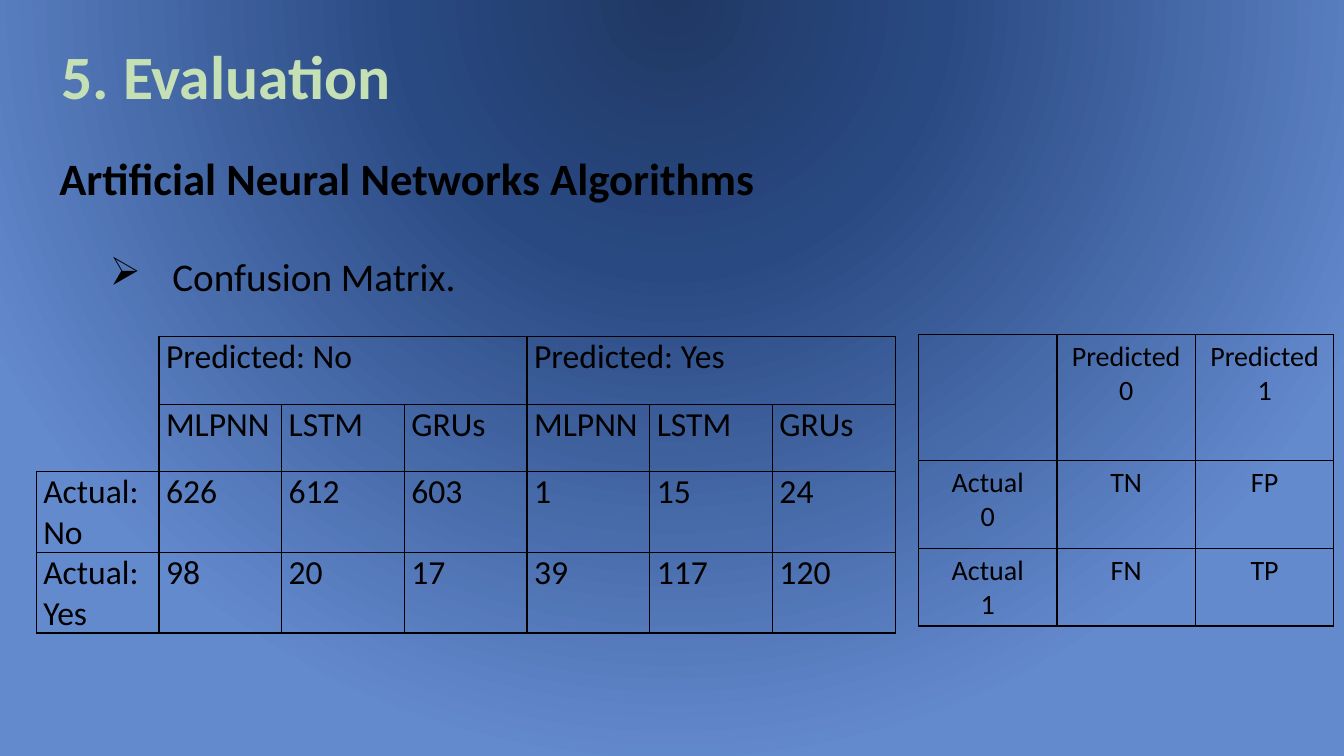
import dataclasses
import typing

import lxml.etree
import pptx
import pptx.dml.color
import pptx.enum.text
import pptx.oxml.ns
import pptx.slide
import pptx.table
import pptx.text.text
import pptx.util

FONT = "Calibri"
BLACK = "000000"
PALE_GREEN = "C5E0B4"
PLAIN_STYLE = "{2D5ABB26-0587-4C30-8999-92F81FD0307C}"  # no style, no grid
WIDTH = pptx.util.Inches(13.33)
HEIGHT = pptx.util.Inches(7.5)
ALIGN = pptx.enum.text.PP_ALIGN
qn = pptx.oxml.ns.qn


@dataclasses.dataclass
class Matrix:
    left: float  # lengths are percentages of the slide
    top: float
    width: float
    row_heights: list[float]
    rows: list[list[str]]
    size: int
    align: ALIGN = ALIGN.LEFT
    merges: tuple = ()  # (first row, first column, last row, last column)
    margins: tuple[float, float] = (0.1, 0.05)  # side and top, in inches
    open_corner: bool = False


MATRICES = [
    Matrix(
        2.7, 44.53, 63.92, [8.93, 8.93, 10.67, 10.67],
        [
            ["", "Predicted: No", "", "", "Predicted: Yes", "", ""],
            [""] + ["MLPNN", "LSTM", "GRUs"] * 2,
            ["Actual: No", "626", "612", "603", "1", "15", "24"],
            ["Actual: Yes", "98", "20", "17", "39", "117", "120"],
        ],
        size=24,
        merges=((0, 0, 1, 0), (0, 1, 0, 3), (0, 4, 0, 6)),
        margins=(0.07, 0),
        open_corner=True,
    ),
    Matrix(
        68.34, 44.27, 30.91, [16.67, 11.6, 10.27],
        [
            ["", "Predicted\n0", "Predicted\n1"],
            ["Actual\n0", "TN", "FP"],
            ["Actual\n1", "FN", "TP"],
        ],
        size=20,
        align=ALIGN.CENTER,
    ),
]


def across(percent: float) -> int:
    return round(WIDTH * percent / 100)


def down(percent: float) -> int:
    return round(HEIGHT * percent / 100)


def rgb(value: str) -> pptx.dml.color.RGBColor:
    return pptx.dml.color.RGBColor.from_string(value)


def add_child(parent: typing.Any, tag: str, **attributes: typing.Any) -> typing.Any:
    values = {name: str(value) for name, value in attributes.items()}
    return lxml.etree.SubElement(parent, qn(tag), values)


def add_run(p: typing.Any, text: str, size: int, color: str = BLACK, bold: bool = False) -> None:
    r = p.add_run()
    r.text = text
    r.font.name = FONT
    r.font.size = pptx.util.Pt(size)
    r.font.bold = bold
    r.font.color.rgb = rgb(color)


def paint_background(slide: pptx.slide.Slide) -> None:
    slide.background.fill.gradient()
    grad = slide.element.find(".//" + qn("a:gradFill"))
    for child in list(grad):
        grad.remove(child)
    stops = add_child(grad, "a:gsLst")
    for position, color, alpha in [(0, "203864", 100), (35, "294982", 100), (100, "648ACE", 96)]:
        stop = add_child(stops, "a:gs", pos=position * 1000)
        fill = add_child(stop, "a:srgbClr", val=color)
        if alpha < 100:
            add_child(fill, "a:alpha", val=alpha * 1000)
    shade = add_child(grad, "a:path", path="circle")
    add_child(shade, "a:fillToRect", l=50000, t=-80000, r=50000, b=180000)


def add_title(slide: pptx.slide.Slide) -> None:
    sp = slide.shapes.title
    sp.left, sp.top, sp.width, sp.height = across(3.83), down(4.4), across(37.36), down(11.2)
    tf = sp.text_frame
    tf.vertical_anchor = pptx.enum.text.MSO_ANCHOR.TOP
    p = tf.paragraphs[0]
    p.alignment = ALIGN.LEFT
    add_run(p, "5. Evaluation", 44, PALE_GREEN, bold=True)


def add_body(slide: pptx.slide.Slide) -> None:
    sp = slide.shapes.add_textbox(across(3.68), down(19.33), across(94.67), down(30.93))
    tf = sp.text_frame
    tf.word_wrap = True
    add_run(tf.paragraphs[0], "Artificial Neural Networks Algorithms", 32, bold=True)
    p = tf.add_paragraph()
    p.level = 1
    p.space_before = pptx.util.Pt(34)
    add_run(p, "Confusion Matrix.", 28)
    # Hanging arrow bullet
    props = p._p.get_or_add_pPr()
    props.set("marL", str(pptx.util.Inches(1.12)))
    props.set("indent", str(pptx.util.Inches(-0.62)))
    add_child(props, "a:buChar", char="➢")


def draw_borders(cell: pptx.table._Cell, sides: str) -> None:
    props = cell._tc.get_or_add_tcPr()
    for index, side in enumerate("LRTB"):
        line = add_child(props, "a:ln" + side, w=pptx.util.Pt(1))
        if side in sides:
            add_child(add_child(line, "a:solidFill"), "a:srgbClr", val=BLACK)
        else:
            add_child(line, "a:noFill")
        props.insert(index, line)


def fill_cell(cell: pptx.table._Cell, text: str, matrix: Matrix) -> None:
    side, top = (pptx.util.Inches(margin) for margin in matrix.margins)
    cell.margin_left = cell.margin_right = side
    cell.margin_top = cell.margin_bottom = top
    cell.fill.background()
    tf = cell.text_frame
    for number, line in enumerate(text.split("\n") if text else []):
        p = tf.add_paragraph() if number else tf.paragraphs[0]
        p.alignment = matrix.align
        add_run(p, line, matrix.size)


def add_matrix(slide: pptx.slide.Slide, matrix: Matrix) -> None:
    columns = len(matrix.rows[0])
    frame = slide.shapes.add_table(
        len(matrix.rows), columns, across(matrix.left), down(matrix.top),
        across(matrix.width), down(sum(matrix.row_heights)),
    )
    table = frame.table
    table.first_row = table.horz_banding = False
    table._tbl.tblPr.find(qn("a:tableStyleId")).text = PLAIN_STYLE
    for column in table.columns:
        column.width = across(matrix.width / columns)
    for row, height in zip(table.rows, matrix.row_heights):
        row.height = down(height)
    for r, texts in enumerate(matrix.rows):
        for c, text in enumerate(texts):
            cell = table.cell(r, c)
            fill_cell(cell, text, matrix)
            in_corner = matrix.open_corner and r < 2 and c == 0
            draw_borders(cell, "RB" if in_corner else "LRTB")
    for top, left, bottom, right in matrix.merges:
        table.cell(top, left).merge(table.cell(bottom, right))


def main() -> None:
    prs = pptx.Presentation()
    prs.slide_width, prs.slide_height = WIDTH, HEIGHT
    slide = prs.slides.add_slide(prs.slide_layouts.get_by_name("Title Only"))
    paint_background(slide)
    add_body(slide)
    add_title(slide)
    for matrix in MATRICES:
        add_matrix(slide, matrix)
    prs.save("out.pptx")


if __name__ == "__main__":
    main()
